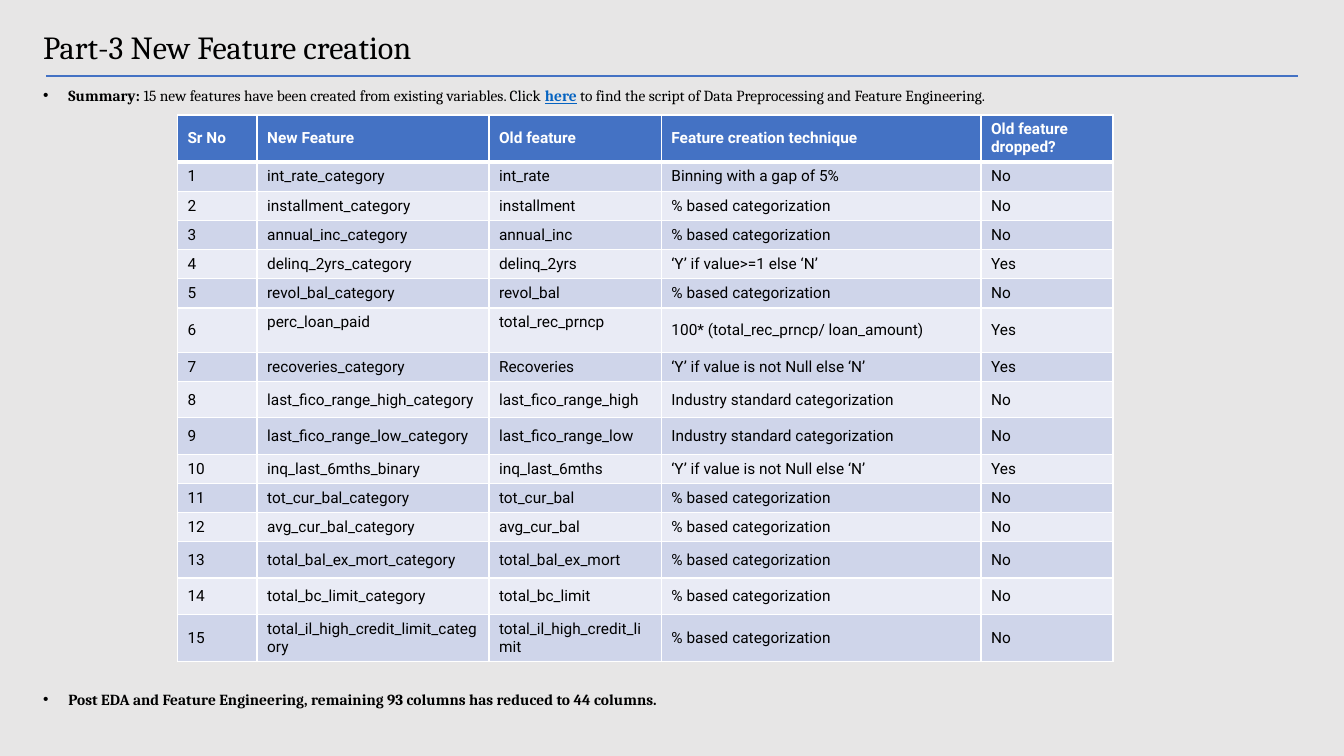
from lxml import etree
from pptx import Presentation
from pptx import util as u
from pptx.dml.color import RGBColor
from pptx.enum import shapes, text
from pptx.oxml import ns

COLORS = {"page": "E7E6E6", "blue": "4472C4", "link": "0563C1", "black": "000000",
          "white": "FFFFFF", "odd": "CFD5EA", "even": "E9EBF5"}
PERCENT = "% based categorization"
NOT_NULL = "‘Y’ if value is not Null else ‘N’"
INDUSTRY = "Industry standard categorization"
HEADINGS = ["Sr No", "New Feature", "Old feature", "Feature creation technique", "Old feature dropped?"]
FEATURES = [
    ("int_rate_category", "int_rate", "Binning with a gap of 5%", "No"),
    ("installment_category", "installment", PERCENT, "No"),
    ("annual_inc_category", "annual_inc", PERCENT, "No"),
    ("delinq_2yrs_category", "delinq_2yrs", "‘Y’ if value>=1 else ‘N’", "Yes"),
    ("revol_bal_category", "revol_bal", PERCENT, "No"),
    ("perc_loan_paid", "total_rec_prncp", "100* (total_rec_prncp/ loan_amount)", "Yes"),
    ("recoveries_category", "Recoveries", NOT_NULL, "Yes"),
    ("last_fico_range_high_category", "last_fico_range_high", INDUSTRY, "No"),
    ("last_fico_range_low_category", "last_fico_range_low", INDUSTRY, "No"),
    ("inq_last_6mths_binary", "inq_last_6mths", NOT_NULL, "Yes"),
    ("tot_cur_bal_category", "tot_cur_bal", PERCENT, "No"),
    ("avg_cur_bal_category", "avg_cur_bal", PERCENT, "No"),
    ("total_bal_ex_mort_category", "total_bal_ex_mort", PERCENT, "No"),
    ("total_bc_limit_category", "total_bc_limit", PERCENT, "No"),
    ("total_il_high_credit_limit_category", "total_il_high_credit_limit", PERCENT, "No"),
]
COLUMN_WIDTHS = [0.79, 2.3, 1.71, 3.17, 1.31]
ROW_HEIGHTS = {0: 0.44, 6: 0.44, 8: 0.36, 9: 0.36, 13: 0.36, 14: 0.36, 15: 0.44}
BULLETS = [
    (0.84, [("Summary: ", True, "black"),
            ("15 new features have been created from existing variables. Click ", False, "black"),
            ("here", True, "link"),
            (" to find the script of Data Preprocessing and Feature Engineering.", False, "black")]),
    (6.83, [("Post EDA and Feature Engineering, remaining 93 columns has reduced to 44 columns.",
             True, "black")]),
]


def style_font(font, name, size, color, bold=False):
    font.name = name
    font.size = u.Pt(size)
    font.bold = bold
    font.color.rgb = RGBColor.from_string(COLORS[color])


def add_box(left, top, width, height):
    box = page.shapes.add_textbox(u.Inches(left), u.Inches(top), u.Inches(width), u.Inches(height))
    box.text_frame.word_wrap = True
    return box.text_frame.paragraphs[0]


deck = Presentation()
deck.slide_width = u.Inches(13.33)
deck.slide_height = u.Inches(7.5)
page = deck.slides.add_slide(deck.slide_layouts[6])
page.background.fill.solid()
page.background.fill.fore_color.rgb = RGBColor.from_string(COLORS["page"])

rule = page.shapes.add_connector(shapes.MSO_CONNECTOR.STRAIGHT, u.Inches(0.46), u.Inches(0.75),
                                 u.Inches(12.87), u.Inches(0.75))
rule.line.color.rgb = RGBColor.from_string(COLORS["blue"])
rule.line.width = u.Pt(1.5)
etree.SubElement(rule.element.spPr, ns.qn("a:effectLst"))

title = add_box(0.33, 0.22, 11.95, 0.49)
title.text = "Part-3 New Feature creation"
style_font(title.font, "Cambria", 23, "black")

for top, pieces in BULLETS:
    para = add_box(0.33, top, 12.32, 0.25)
    para.line_spacing = 0.8
    properties = para._p.get_or_add_pPr()
    properties.set("marL", str(u.Inches(0.25)))
    properties.set("indent", str(-u.Inches(0.25)))
    etree.SubElement(properties, ns.qn("a:buFont"), typeface="Arial")
    etree.SubElement(properties, ns.qn("a:buChar"), char="•")
    for wording, bold, color in pieces:
        span = para.add_run()
        span.text = wording
        style_font(span.font, "Cambria", 11, color, bold)
        span.font.underline = color == "link"

rows = [HEADINGS] + [(str(number), *feature) for number, feature in enumerate(FEATURES, 1)]
table = page.shapes.add_table(len(rows), len(HEADINGS), u.Inches(1.76), u.Inches(1.14),
                              u.Inches(9.28), u.Inches(5.5)).table
for column, width in zip(table.columns, COLUMN_WIDTHS):
    column.width = u.Inches(width)

for r, values in enumerate(rows):
    table.rows[r].height = u.Inches(ROW_HEIGHTS.get(r, 0.29))
    fill = "blue" if r == 0 else "odd" if r % 2 else "even"
    for c, value in enumerate(values):
        cell = table.cell(r, c)
        raised = r == 6 and c in (1, 2)
        cell.vertical_anchor = text.MSO_ANCHOR.TOP if raised else text.MSO_ANCHOR.MIDDLE
        para = cell.text_frame.paragraphs[0]
        para.text = value
        style_font(para.font, "Roboto", 11, "black" if r else "white", r == 0)
        for side in ("lnL", "lnR", "lnT", "lnB"):
            heavy = (r, side) in ((0, "lnB"), (1, "lnT"))
            border = etree.SubElement(cell._tc.get_or_add_tcPr(), ns.qn(f"a:{side}"),
                                      w=str(u.Pt(3 if heavy else 1)))
            paint = etree.SubElement(border, ns.qn("a:solidFill"))
            etree.SubElement(paint, ns.qn("a:srgbClr"), val=COLORS["white"])
        cell.fill.solid()
        cell.fill.fore_color.rgb = RGBColor.from_string(COLORS[fill])

deck.save("out.pptx")
